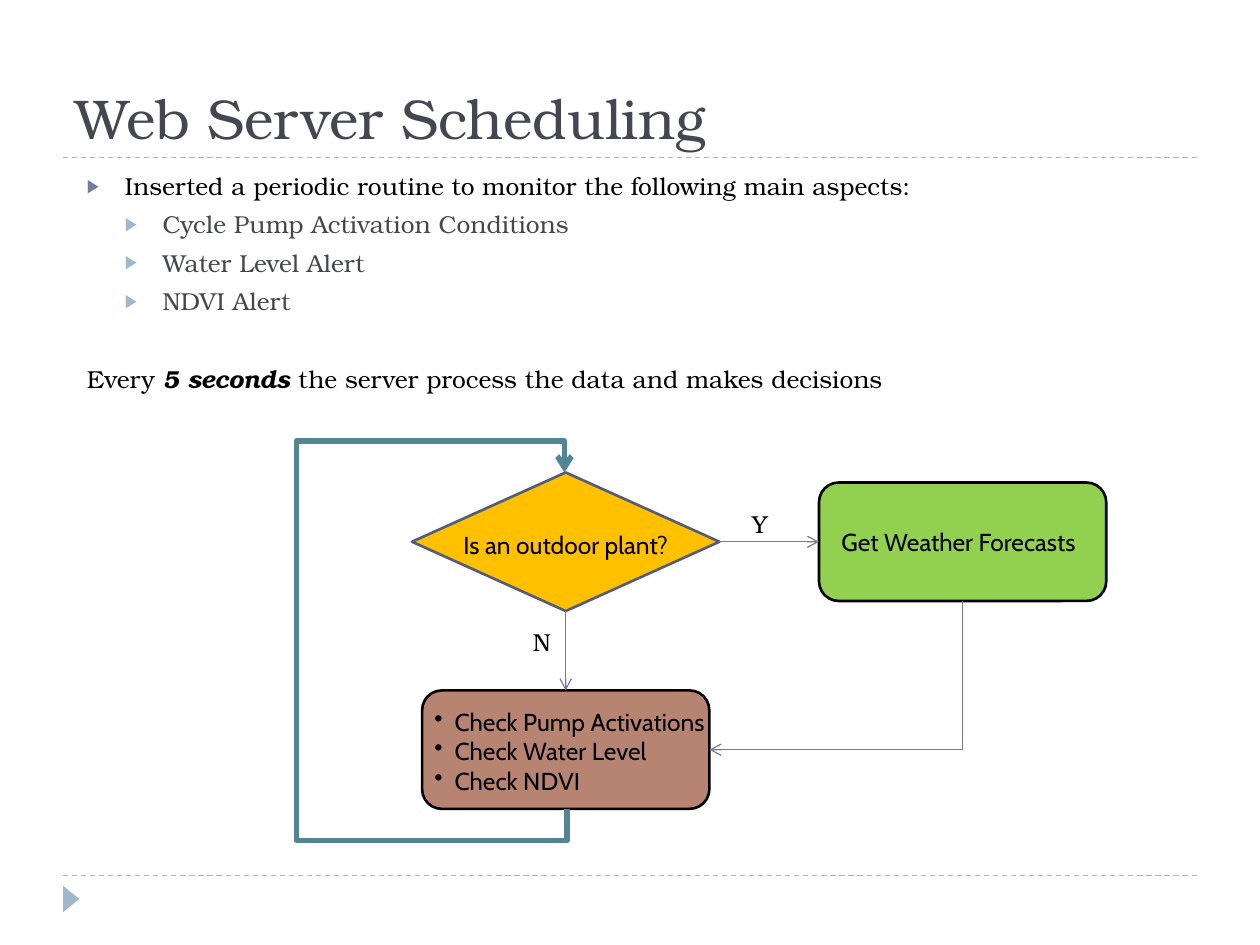
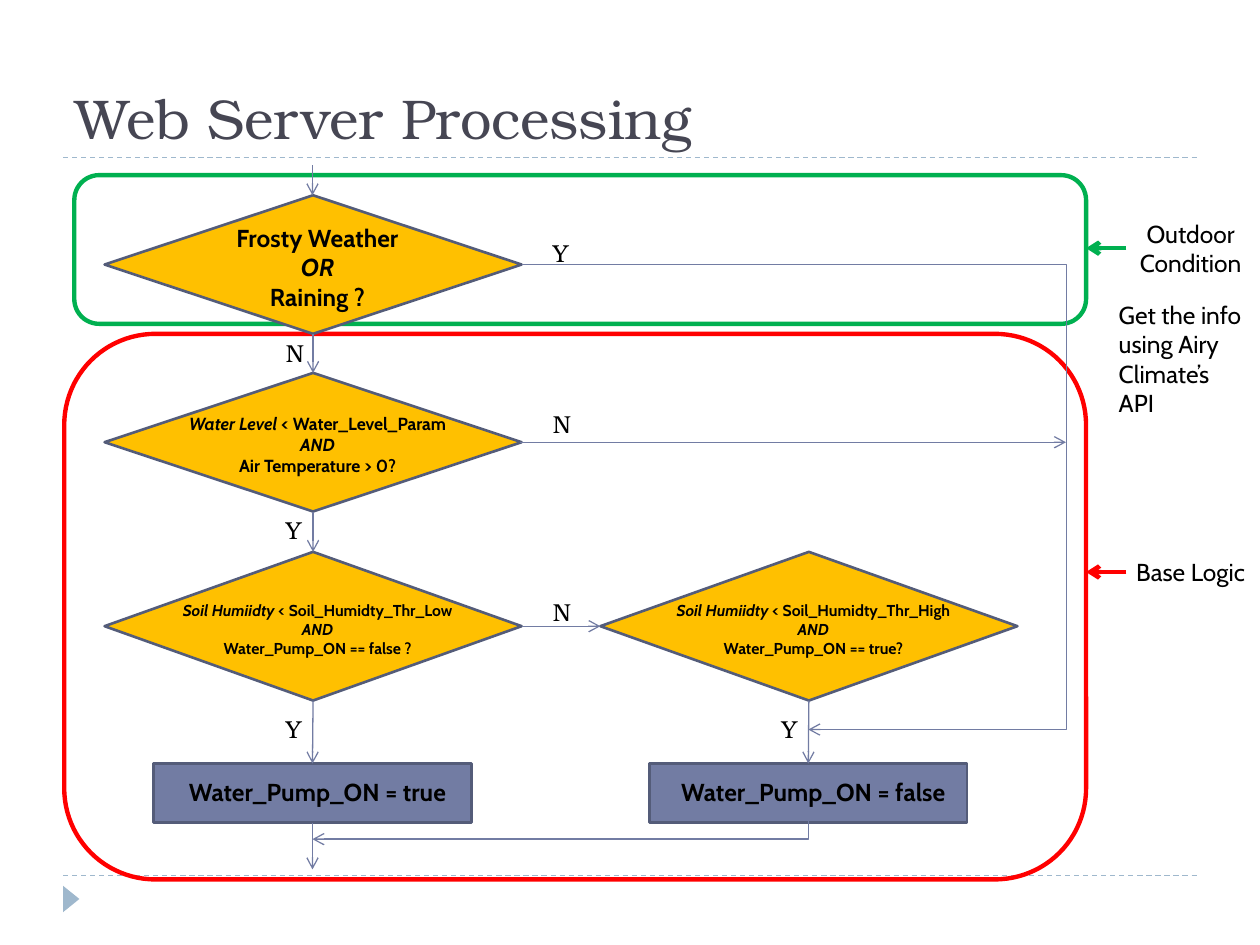
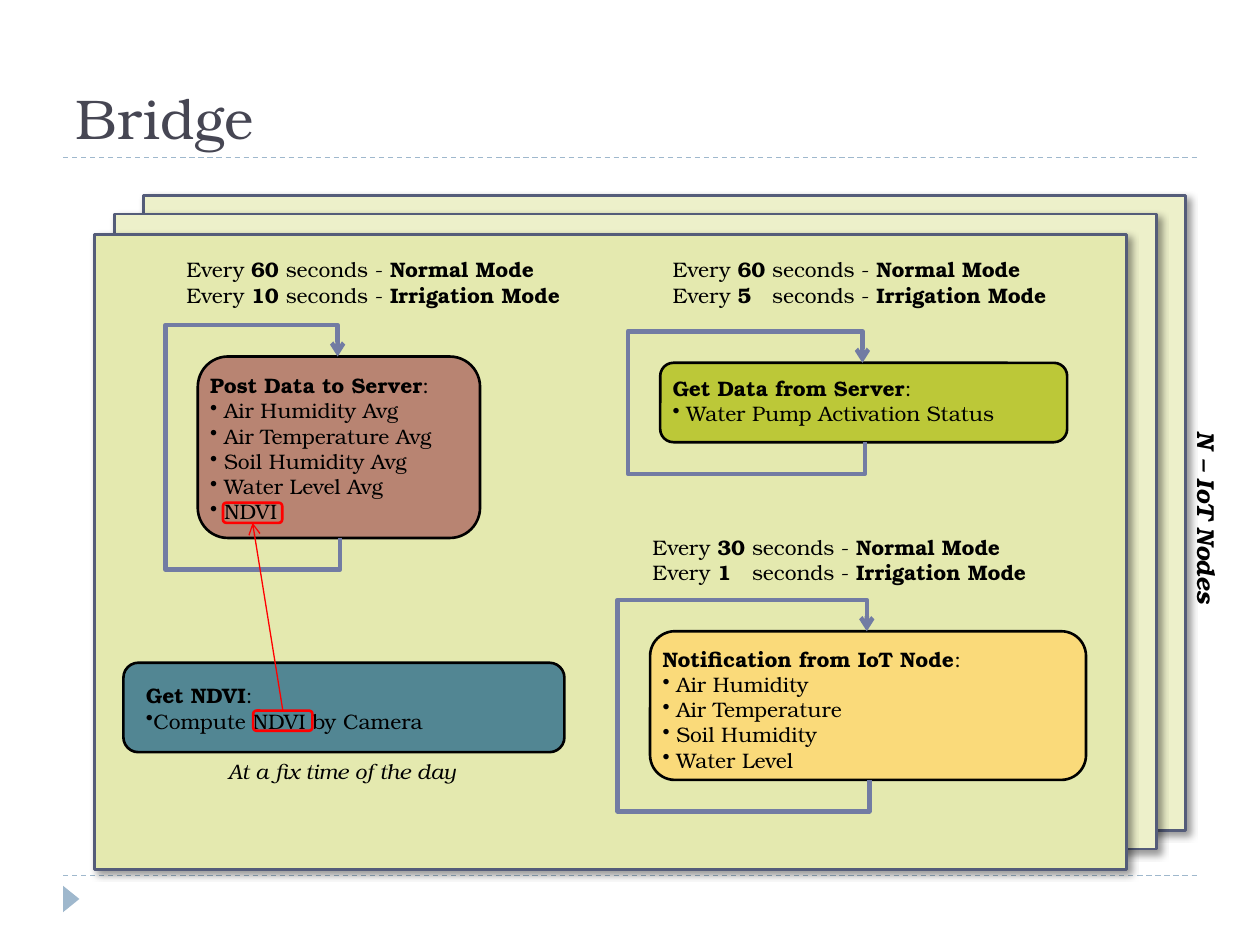
import dataclasses

import lxml.etree
import pptx
import pptx.dml.color
import pptx.enum.dml
import pptx.enum.shapes
import pptx.enum.text
import pptx.oxml.ns
import pptx.util

SHAPE = pptx.enum.shapes.MSO_SHAPE
CONNECTOR = pptx.enum.shapes.MSO_CONNECTOR
ALIGN = pptx.enum.text.PP_ALIGN
ANCHOR = pptx.enum.text.MSO_ANCHOR
TOP, LEFT, BOTTOM, RIGHT = range(4)
COLUMNS, ROWS = 100, 75
CELL = pptx.util.Inches(0.1)


@dataclasses.dataclass(frozen=True)
class Theme:
    serif: str = "TeX Gyre Bonum"
    sans: str = "Cabin"
    ink: str = "000000"
    title: str = "464653"
    accent: str = "727CA3"
    edge: str = "545C79"
    pale: str = "9FB8CD"
    amber: str = "FFC000"
    clay: str = "B88472"
    teal: str = "528693"
    leaf: str = "92D050"
    olive: str = "BCC838"
    sand: str = "FADA7A"
    sheet_back: str = "EDF0CA"
    sheet_front: str = "E4E9AF"
    red: str = "FF0000"
    green: str = "00B050"
    title_size: int = 32
    body_size: int = 14
    card_size: int = 12
    rule_size: int = 10
    small_size: int = 9
    thin: float = 0.75
    medium: float = 1.5
    thick: float = 2.5
    heavy: float = 3


T = Theme()


@dataclasses.dataclass(frozen=True)
class Box:
    x: float
    y: float
    w: float
    h: float

    def sub(self, x, y, w, h):
        return Box(self.x + x, self.y + y, w, h)

    def emu(self):
        return [round(v * CELL) for v in (self.x, self.y, self.w, self.h)]


PAGE = Box(0, 0, COLUMNS, ROWS)


def rgb(color):
    return pptx.dml.color.RGBColor.from_string(color)


def add_xml(parent, tag, **attributes):
    child = lxml.etree.SubElement(parent, pptx.oxml.ns.qn(tag))
    for name, value in attributes.items():
        child.set(name, str(value))
    return child


def style_run(r, size, font, color=T.ink, style=""):
    r.font.size = pptx.util.Pt(size)
    r.font.name = font
    r.font.color.rgb = rgb(color)
    r.font.bold = "b" in style
    r.font.italic = "i" in style


def add_bullet(p, char, margin, hang, color=None):
    pPr = p._p.get_or_add_pPr()
    pPr.set("marL", str(round(margin * CELL)))
    pPr.set("indent", str(round(-hang * CELL)))
    if color:
        add_xml(add_xml(pPr, "a:buClr"), "a:srgbClr", val=color)
        add_xml(pPr, "a:buSzPct", val=76000)
    add_xml(pPr, "a:buChar", char=char)


def add_tab(p, position):
    tabs = add_xml(p._p.get_or_add_pPr(), "a:tabLst")
    add_xml(tabs, "a:tab", pos=round(position * CELL), algn="l")


def label(s, box, paragraphs, size=T.body_size, font=T.sans, align=ALIGN.LEFT,
          anchor=ANCHOR.TOP, style="", hang=1.1, tab=None):
    sp = s.shapes.add_textbox(*box.emu())
    tf = sp.text_frame
    tf.word_wrap = True
    tf.vertical_anchor = anchor
    for i, runs in enumerate(paragraphs):
        p = tf.add_paragraph() if i else tf.paragraphs[0]
        p.alignment = align
        if isinstance(runs, str):
            if runs.startswith("•"):
                add_bullet(p, "•", hang, hang)
            runs = [(runs.removeprefix("•"), style)]
        if tab:
            add_tab(p, tab)
        for text, run_style in runs:
            r = p.add_run()
            r.text = text
            style_run(r, size, font, style=run_style)
    return sp


def block(s, kind, box, fill=None, line=None, width=T.medium):
    sp = s.shapes.add_shape(kind, *box.emu())
    sp.shadow.inherit = False
    if fill:
        sp.fill.solid()
        sp.fill.fore_color.rgb = rgb(fill)
    else:
        sp.fill.background()
    if line:
        sp.line.color.rgb = rgb(line)
        sp.line.width = pptx.util.Pt(width)
    else:
        sp.line.fill.background()
    return sp


def connector(s, start, end, color=T.accent, width=T.thin, kind=CONNECTOR.STRAIGHT, head=True):
    c = s.shapes.add_connector(kind, *(round(v * CELL) for v in (*start, *end)))
    c.line.color.rgb = rgb(color)
    c.line.width = pptx.util.Pt(width)
    if head:
        add_xml(c.line._get_or_add_ln(), "a:tailEnd", type="arrow")
    add_xml(c._element.spPr, "a:effectLst")
    return c


def link(s, a, a_side, b, b_side, **look):
    c = connector(s, (0, 0), (1, 1), **look)
    c.begin_connect(a, a_side)
    c.end_connect(b, b_side)
    return c


def set_bends(c, preset, bends):
    geometry = c._element.spPr.find(pptx.oxml.ns.qn("a:prstGeom"))
    geometry.set("prst", preset)
    for old in list(geometry):
        geometry.remove(old)
    values = add_xml(geometry, "a:avLst")
    for i, bend in enumerate(bends, 1):
        name = "adj" if len(bends) == 0 else f"adj{i}"
        add_xml(values, "a:gd", name=name, fmla=f"val {round(bend * 100000)}")


def quarter_turn(c, start, end, flip):
    across, down = abs(end[0] - start[0]), abs(end[1] - start[1])
    c.left = round((start[0] + end[0] - down) / 2)
    c.top = round((start[1] + end[1] - across) / 2)
    c.width, c.height = round(down), round(across)
    xfrm = c._element.spPr.find(pptx.oxml.ns.qn("a:xfrm"))
    xfrm.attrib.clear()
    xfrm.set("rot", "5400000")
    if flip:
        xfrm.set("flipH", "1")


def loop_back(s, last, first, left, color=T.accent, width=T.thick):
    c = link(s, last, BOTTOM, first, TOP, color=color, width=width, kind=CONNECTOR.ELBOW)
    middle = last.left + last.width / 2
    shift, drop = 0.1 * CELL, 2.5 * CELL
    start = (middle + shift, last.top + last.height)
    end = (middle - shift, first.top)
    rise = start[1] - end[1]
    quarter_turn(c, start, end, True)
    bends = (-drop / rise, (start[0] - left * CELL) / (2 * shift), 1 + drop / rise)
    set_bends(c, "bentConnector5", bends)


def corner_link(s, a, b):
    c = link(s, a, BOTTOM, b, RIGHT, kind=CONNECTOR.ELBOW)
    start = (a.left + a.width / 2, a.top + a.height)
    end = (b.left + b.width, b.top + b.height / 2)
    quarter_turn(c, start, end, False)
    set_bends(c, "bentConnector2", ())


def frame_slide(prs, layout, title):
    s = prs.slides.add_slide(prs.slide_layouts[layout])
    for y in (69.5, 12.5):
        c = connector(s, (5, y), (95, y), color=T.pale, head=False)
        c.line.dash_style = pptx.enum.dml.MSO_LINE.DASH
    block(s, SHAPE.ISOSCELES_TRIANGLE, PAGE.sub(4.6, 70.7, 2.1, 1.3), T.pale).rotation = 90
    sp = s.shapes.title
    sp.left, sp.top, sp.width, sp.height = PAGE.sub(5, 1.7, 90, 10.8).emu()
    tf = sp.text_frame
    tf.text = title
    tf.vertical_anchor = ANCHOR.BOTTOM
    p = tf.paragraphs[0]
    p.alignment = ALIGN.LEFT
    style_run(p.runs[0], T.title_size, T.serif, T.title)
    return s


def decision(s, box, paragraphs, size=T.body_size, align=ALIGN.CENTER, style="b"):
    sp = block(s, SHAPE.FLOWCHART_DECISION, box, T.amber, T.edge)
    label(s, box.sub(3.1, 0.2, box.w - 5.5 + 1.6 * (align == ALIGN.LEFT), box.h), paragraphs,
          size, align=align, anchor=ANCHOR.MIDDLE, style=style)
    return sp


def card(s, box, fill, paragraphs, inset, text_width, **text):
    sp = block(s, SHAPE.ROUNDED_RECTANGLE, box, fill, T.ink)
    label(s, box.sub(*inset, text_width, box.h), paragraphs, **text)
    return sp


def answer(s, box, x, y, text):
    label(s, box.sub(x, y, 3.1, 3.4), [text], font=T.serif)


def routine_body(s, box):
    sp = s.placeholders[1]
    sp.left, sp.top, sp.width, sp.height = box.emu()
    tf = sp.text_frame
    rows = [
        (0, "Inserted a periodic routine to monitor the following main aspects:"),
        (1, "Cycle Pump Activation Conditions"),
        (1, "Water Level Alert"),
        (1, "NDVI Alert"),
    ]
    for i, (level, text) in enumerate(rows):
        p = tf.add_paragraph() if i else tf.paragraphs[0]
        p.text = text
        p.level = level
        p.space_before = pptx.util.Pt(5 if i else 0)
        add_bullet(p, "▶", 3 * (level + 1), 3, T.pale if level else T.accent)
        style_run(p.runs[0], T.body_size, T.serif, T.title if level else T.ink)
    p = tf.add_paragraph()
    p.space_before = pptx.util.Pt(28)
    pPr = p._p.get_or_add_pPr()
    pPr.set("marL", "0")
    pPr.set("indent", "0")
    add_xml(pPr, "a:buNone")
    for text, style in (("Every ", ""), ("5 seconds ", "bi"),
                        ("the server process the data and makes decisions", "")):
        r = p.add_run()
        r.text = text
        style_run(r, T.body_size, T.serif, style=style)


def schedule_flow(s, box):
    checks = card(s, box.sub(9.9, 19.7, 22.8, 9.4), T.clay,
                  ["•Check Pump Activations", "•Check Water Level", "•Check NDVI"],
                  (0, 0.8), 24.4, hang=1.6)
    outdoor = decision(s, box.sub(9.1, 2.4, 24.4, 11), ["Is an outdoor plant?"],
                       align=ALIGN.LEFT, style="")
    forecast = card(s, box.sub(41.4, 3.2, 22.8, 9.4), T.leaf, ["Get Weather Forecasts"],
                    (0.8, 0), 22, anchor=ANCHOR.MIDDLE)
    loop_back(s, checks, outdoor, box.x, T.teal, T.heavy)
    link(s, outdoor, BOTTOM, checks, TOP)
    link(s, outdoor, RIGHT, forecast, LEFT)
    corner_link(s, forecast, checks)
    answer(s, box, 17.7, 14.2, "N")
    answer(s, box, 35.1, 4.8, "Y")


def side_note(s, box, y, color, paragraphs):
    connector(s, (box.x + 3.2, y), (box.x, y), color, T.thick)
    sp = label(s, Box(box.x + 2.8, y - 3, 11, 6), paragraphs,
               align=ALIGN.CENTER, anchor=ANCHOR.MIDDLE)
    sp.text_frame.margin_left = sp.text_frame.margin_right = 0


def pump_state(s, box, text):
    sp = block(s, SHAPE.RECTANGLE, box, T.accent, T.edge)
    label(s, box.sub(-0.8, 0, 27.6, box.h - 0.2), [text], align=ALIGN.CENTER,
          anchor=ANCHOR.MIDDLE, style="b")
    return sp


def humidity_test(s, box, limit, state):
    return decision(s, box, [
        [("Soil Humiidty ", "bi"), (f"< {limit}", "b")],
        [("AND", "bi")],
        f"Water_Pump_ON == {state}?",
    ], T.small_size)


def processing_flow(s, box):
    for part, color in ((box.sub(0, 12.6, 81.1, 43.3), T.red),
                        (box.sub(0.8, 0, 80.3, 11.8), T.green)):
        block(s, SHAPE.ROUNDED_RECTANGLE, part, line=color, width=T.thick)
    weather = decision(s, box.sub(3.2, 1.6, 33.1, 11),
                       ["Frosty Weather", [("OR", "bi")], "Raining ?"])
    level = decision(s, box.sub(3.2, 15.7, 33.1, 11), [
        [("Water Level ", "bi"), ("< Water_Level_Param", "b")],
        [("AND", "bi")],
        "Air Temperature > 0?",
    ], T.rule_size)
    column = 39.35
    low = humidity_test(s, box.sub(3.2, 29.9, 33.1, 11.8), "Soil_Humidty_Thr_Low", "false ")
    high = humidity_test(s, box.sub(3.2 + column, 29.9, 33.1, 11.8),
                         "Soil_Humidty_Thr_High", "true")
    pump_on = pump_state(s, box.sub(7.1, 46.7, 25.2, 4.7), "Water_Pump_ON = true")
    pump_off = pump_state(s, box.sub(7.1 + column, 46.7, 25.2, 4.7), "Water_Pump_ON = false")

    for upper, lower in ((weather, level), (level, low), (low, pump_on), (high, pump_off)):
        link(s, upper, BOTTOM, lower, TOP)
    link(s, low, RIGHT, high, LEFT)
    axis = box.x + 19.7
    connector(s, (axis, box.y - 0.8), (axis, box.y + 1.6))
    connector(s, (axis, box.y + 51.4), (axis, box.y + 55.1))
    connector(s, (box.x + 36.2, box.y + 21.2), (box.x + 79.5, box.y + 21.2))

    bypass = connector(s, (box.x + 36.2, box.y + 7.1), (axis + column, box.y + 44),
                       kind=CONNECTOR.ELBOW)
    bypass.begin_connect(weather, RIGHT)
    set_bends(bypass, "bentConnector3", (1.9,))
    merge = connector(s, (axis + column, box.y + 51.2), (axis, box.y + 52.7),
                      kind=CONNECTOR.ELBOW)
    set_bends(merge, "bentConnector3", (0,))

    for x, y, text in ((37.8, 4.5, "Y"), (37.8, 18.1, "N"), (37.8, 33, "N"),
                       (16.6, 12.4, "N"), (16.6, 26.5, "Y"), (16.6, 42.3, "Y"),
                       (16.6 + column, 42.3, "Y")):
        answer(s, box, x, y, text)


def processing_notes(s, box):
    side_note(s, box, box.y + 31.5, T.red, ["Base Logic"])
    side_note(s, box, box.y + 5.8, T.green, ["Outdoor", "Condition"])
    label(s, box.sub(1.6, 9.4, 12.2, 10.4), ["Get the info using Airy Climate’s API"])


def node_sheets(s, box):
    for part, fill in ((box.sub(3.9, 0, 82.7, 50.4), T.sheet_back),
                       (box.sub(1.6, 1.5, 82.7, 50.4), T.sheet_back),
                       (box.sub(0, 3.1, 81.9, 50.4), T.sheet_front)):
        sp = block(s, SHAPE.RECTANGLE, part, fill, T.edge)
        effects = sp._element.spPr.find(pptx.oxml.ns.qn("a:effectLst"))
        shadow = add_xml(effects, "a:outerShdw", blurRad=pptx.util.Pt(4),
                         dist=pptx.util.Pt(3), dir=45 * 60000, algn="tl", rotWithShape=0)
        add_xml(add_xml(shadow, "a:srgbClr", val=T.ink), "a:alpha", val=40000)
    label(s, box.sub(74.5, 23.9, 27.6, 3.4), ["N – IoT Nodes"], font=T.serif,
          align=ALIGN.CENTER, style="bi").rotation = 90


def timing(s, box, normal, irrigation):
    rows = ((normal, "Normal Mode"), (irrigation, "Irrigation Mode"))
    label(s, box, [[("Every ", ""), (f"{seconds}\t", "b"), ("seconds - ", ""), (mode, "b")]
                   for seconds, mode in rows], T.card_size, T.serif, tab=7.9)


def node_card(s, box, fill, heading, items, inset, text_width, hang=1.1):
    paragraphs = [[(heading, "b"), (":", "")]] + ["•" + item for item in items]
    return card(s, box, fill, paragraphs, inset, text_width,
                size=T.card_size, font=T.serif, hang=hang)


def node_tasks(s, box):
    post = node_card(s, box.sub(8.2, 9.7, 22.4, 14.4), T.clay, "Post Data to Server",
                     ["Air Humidity Avg", "Air Temperature Avg", "Soil Humidity Avg",
                      "Water Level Avg", "NDVI"], (0, 0.8), 24.4)
    get = node_card(s, box.sub(44.9, 10.2, 32.3, 6.3), T.olive, "Get Data from Server",
                    ["Water Pump Activation Status"], (0, 0.5), 32.3)
    node_card(s, box.sub(2.3, 34, 35, 7.1), T.teal, "Get NDVI",
              ["Compute NDVI by Camera"], (0.8, 1.1), 37, hang=0.6)
    notify = node_card(s, box.sub(44.1, 31.5, 34.6, 11.8), T.sand, "Notification from IoT Node",
                       ["Air Humidity", "Air Temperature", "Soil Humidity", "Water Level"],
                       (0, 0.7), 40.2)
    for task, left in ((post, 5.7), (get, 42.4), (notify, 41.6)):
        loop_back(s, task, task, box.x + left)

    source, target = [block(s, SHAPE.ROUNDED_RECTANGLE, box.sub(x, y, 4.7, 1.6), line=T.red)
                      for x, y in ((12.6, 37.8), (10.2, 21.3))]
    link(s, source, TOP, target, BOTTOM, color=T.red)
    label(s, box.sub(5.5, 41.1, 28.3, 3), ["At a fix time of the day"], T.card_size, T.serif,
          ALIGN.CENTER, style="i")
    timing(s, box.sub(6.3, 1.3, 33.1, 5), 60, 10)
    timing(s, box.sub(44.9, 1.3, 33.1, 5), 60, 5)
    timing(s, box.sub(43.3, 23.3, 33.9, 5), 30, 1)


def main():
    prs = pptx.Presentation()
    prs.slide_width = COLUMNS * CELL
    prs.slide_height = ROWS * CELL

    s = frame_slide(prs, 1, "Web Server Scheduling")
    routine_body(s, PAGE.sub(5.9, 13.1, 90, 20))
    schedule_flow(s, PAGE.sub(23.6, 35.1, 64.2, 31.7))

    s = frame_slide(prs, 5, "Web Server Processing")
    processing_flow(s, PAGE.sub(5.1, 13.9, 81.1, 55.9))
    processing_notes(s, PAGE.sub(86.2, 13.9, 13.8, 55.9))

    s = frame_slide(prs, 5, "Bridge")
    node_sheets(s, PAGE.sub(7.5, 15.5, 86.6, 53.5))
    node_tasks(s, PAGE.sub(7.5, 18.6, 81.9, 50.4))

    prs.save("out.pptx")


if __name__ == "__main__":
    main()
